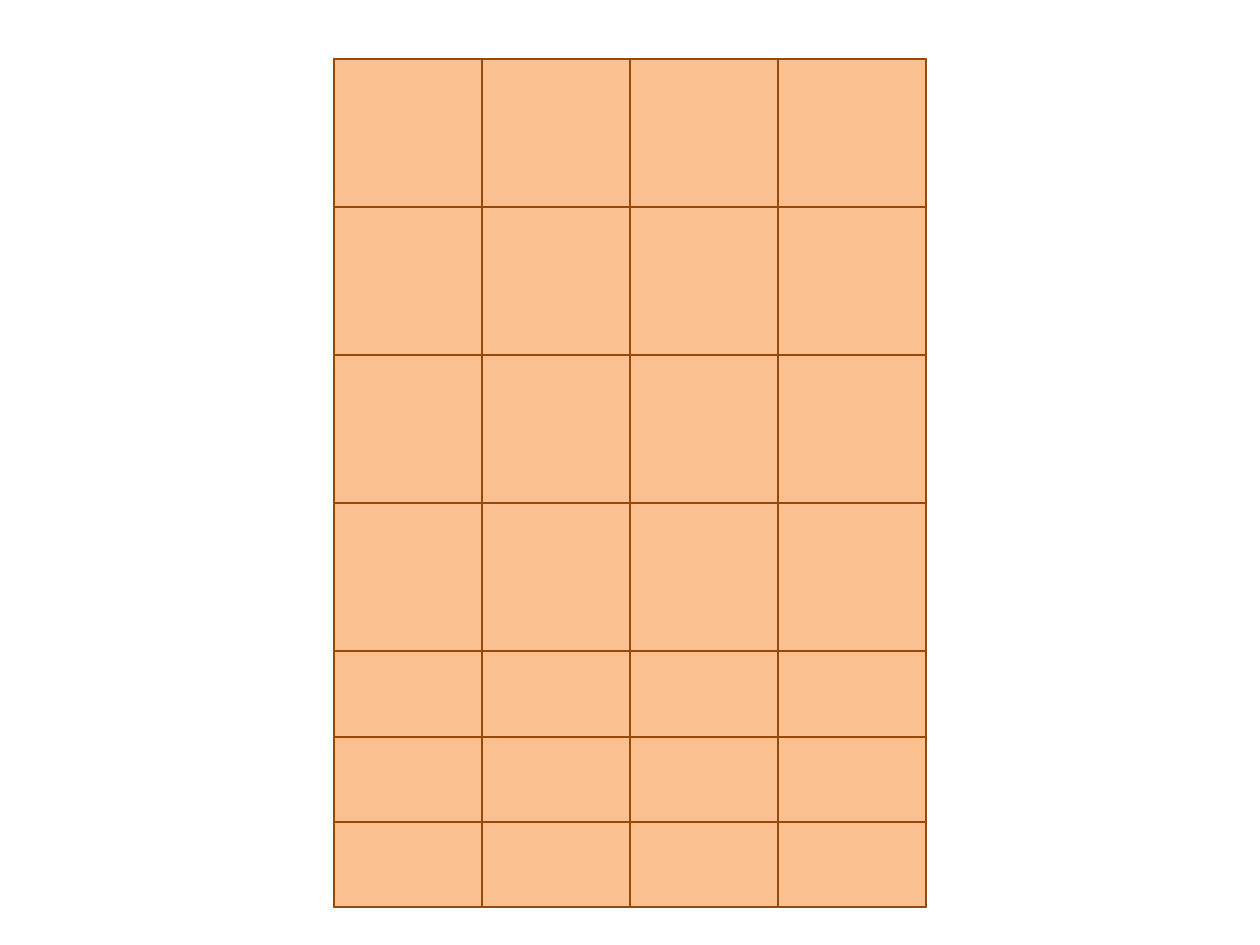
"""Build a slide with four overlapping layers of a four-by-four tile grid."""
from pptx import Presentation
from pptx.dml.color import RGBColor
from pptx.enum import shapes
from pptx.util import Inches, Pt

PEACH = RGBColor(0xFA, 0xC0, 0x90)
BROWN = RGBColor(0x98, 0x48, 0x07)

GRID_LEFT = 2.65
GRID_SIZE = 4.7
TILES = 4
TILE_SIZE = GRID_SIZE / TILES
LAYERS = 4
FRONT_TOP = 0.47
BACK_TOP = 2.5
LAYER_STEP = (BACK_TOP - FRONT_TOP) / (LAYERS - 1)


def add_square(layer, left, top, size):
    square = layer.shapes.add_shape(
        shapes.MSO_SHAPE.RECTANGLE,
        Inches(left), Inches(top), Inches(size), Inches(size))
    square.shadow.inherit = False
    square.line.color.rgb = BROWN
    square.line.width = Pt(1)
    return square


prs = Presentation()
prs.slide_width = Inches(10)
prs.slide_height = Inches(7.5)
slide = prs.slides.add_slide(prs.slide_layouts[6])

for depth in range(LAYERS):
    layer_top = BACK_TOP - depth * LAYER_STEP
    layer = slide.shapes.add_group_shape()
    for row in reversed(range(TILES)):
        for column in range(TILES):
            tile = add_square(layer, GRID_LEFT + column * TILE_SIZE,
                              layer_top + row * TILE_SIZE, TILE_SIZE)
            tile.fill.solid()
            tile.fill.fore_color.rgb = PEACH
    frame = add_square(layer, GRID_LEFT, layer_top, GRID_SIZE)
    frame.fill.background()

prs.save("out.pptx")
